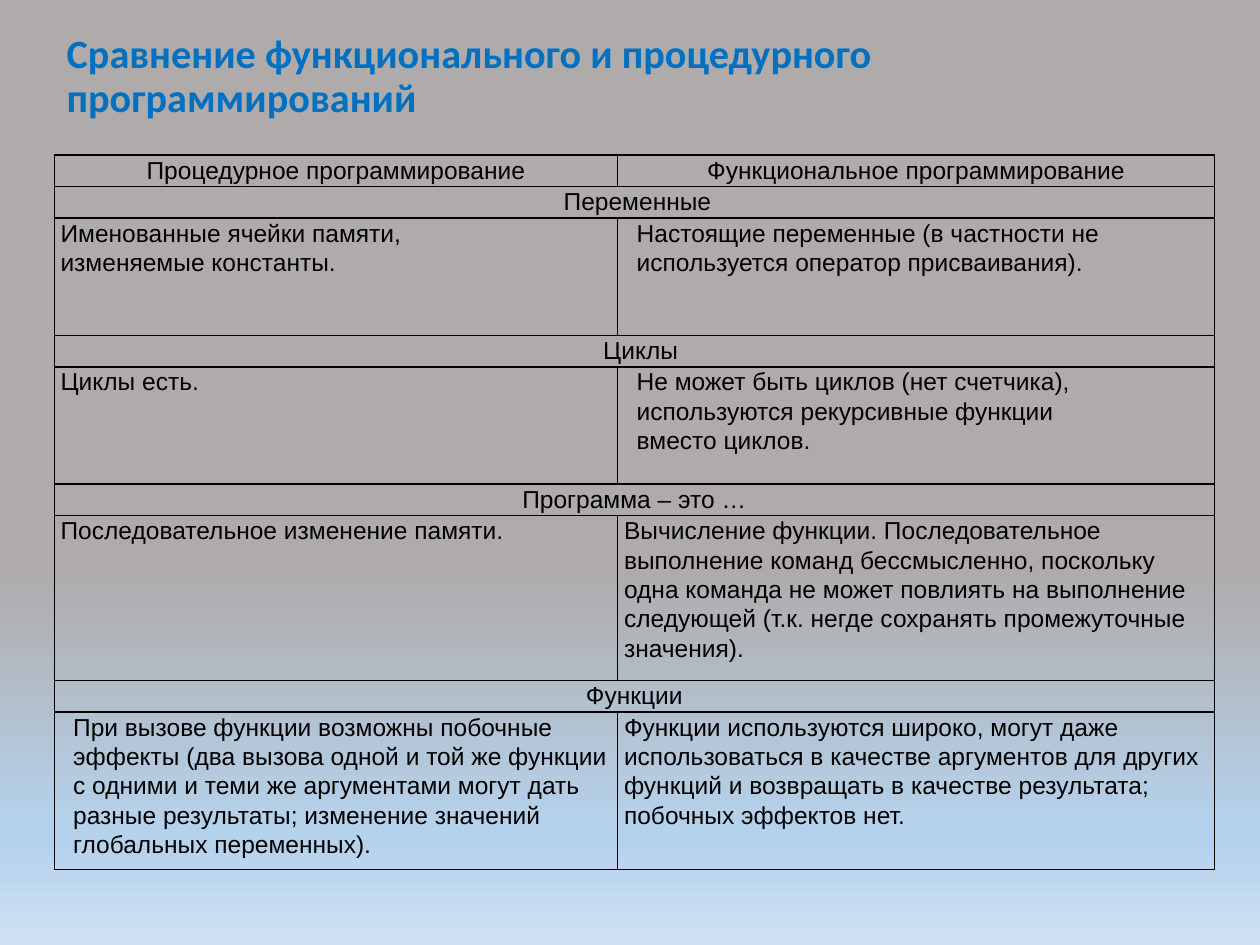
from dataclasses import dataclass

from lxml.etree import SubElement
from pptx import Presentation
from pptx.dml.color import RGBColor
from pptx.enum.text import MSO_ANCHOR, PP_ALIGN
from pptx.oxml.ns import qn
from pptx.slide import Slide
from pptx.table import _Cell
from pptx.util import Pt


@dataclass(frozen=True)
class Theme:
    title_font: str = "Calibri"
    body_font: str = "Arial"
    title_size: float = 23
    body_size: float = 14
    title_color: str = "0070C0"
    ink: str = "000000"
    border: float = 1
    gradient: tuple[tuple[int, str], ...] = (
        (60, "AFABAB"), (88, "B5D2EC"), (89, "B5D2EC"), (100, "CEE1F2"))


@dataclass(frozen=True)
class Entry:
    lines: tuple[str, ...]
    indent: float = 0


@dataclass(frozen=True)
class Topic:
    heading: Entry
    procedural: Entry
    functional: Entry
    height: float


THEME = Theme()
COLUMNS = (322, 341)
HEADING_HEIGHT = 14.4
INDENT = 7.2
TITLE = "Сравнение функционального и процедурного программирований"
HEADERS = ("Процедурное программирование", "Функциональное программирование")
TOPICS = (
    Topic(
        Entry(("Переменные",), INDENT / 2),
        Entry(("Именованные ячейки памяти,", "изменяемые константы.")),
        Entry(("Настоящие переменные (в частности не",
               "используется оператор присваивания)."), INDENT),
        67,
    ),
    Topic(
        Entry(("Циклы",), INDENT),
        Entry(("Циклы есть.",)),
        Entry(("Не может быть циклов (нет счетчика), используются рекурсивные функции",
               "вместо циклов."), INDENT),
        67,
    ),
    Topic(
        Entry(("Программа – это …",)),
        Entry(("Последовательное изменение памяти.",)),
        Entry(("Вычисление функции. Последовательное выполнение команд бессмысленно, "
               "поскольку одна команда не может повлиять на выполнение следующей "
               "(т.к. негде сохранять промежуточные",
               "значения).")),
        94.3,
    ),
    Topic(
        Entry(("Функции",)),
        Entry(("При вызове функции возможны побочные эффекты (два вызова одной и той же "
               "функции с одними и теми же аргументами могут дать разные результаты; "
               "изменение значений глобальных переменных).",), INDENT),
        Entry(("Функции используются широко, могут даже использоваться в качестве "
               "аргументов для других функций и возвращать в качестве результата; "
               "побочных эффектов нет.",)),
        80.6,
    ),
)


def paint_background(s: Slide) -> None:
    """Fill the slide with the theme's top-to-bottom gradient."""
    fill = s.background.fill
    fill.gradient()
    grad = s.element.find(".//" + qn("a:gradFill"))
    stops = grad.find(qn("a:gsLst"))
    for stop in list(stops):
        stops.remove(stop)
    for percent, color in THEME.gradient:
        stop = SubElement(stops, qn("a:gs"), pos=str(percent * 1000))
        SubElement(stop, qn("a:srgbClr"), val=color)
    grad.find(qn("a:lin")).set("ang", str(90 * 60000))


def add_title(s: Slide) -> None:
    sp = s.shapes.add_textbox(Pt(31), Pt(-8), Pt(669), Pt(104.4))
    tf = sp.text_frame
    tf.word_wrap = True
    tf.vertical_anchor = MSO_ANCHOR.MIDDLE
    p = tf.paragraphs[0]
    p.text = TITLE
    p.line_spacing = 0.9
    p.font.name = THEME.title_font
    p.font.size = Pt(THEME.title_size)
    p.font.bold = True
    p.font.color.rgb = RGBColor.from_string(THEME.title_color)


def style_cell(cell: _Cell) -> None:
    """Give a cell solid borders, narrow margins and no fill."""
    cell.margin_left = cell.margin_right = Pt(3.6)
    cell.margin_top = cell.margin_bottom = 0
    props = cell._tc.get_or_add_tcPr()
    for side in ("lnL", "lnR", "lnT", "lnB"):
        ln = SubElement(props, qn(f"a:{side}"), w=str(Pt(THEME.border)))
        SubElement(SubElement(ln, qn("a:solidFill")), qn("a:srgbClr"), val=THEME.ink)
    cell.fill.background()


def write_cell(cell: _Cell, entry: Entry, align: PP_ALIGN = PP_ALIGN.LEFT) -> None:
    tf = cell.text_frame
    tf.text = "\n".join(entry.lines)
    for p in tf.paragraphs:
        p.alignment = align
        p.line_spacing = 1.07
        if entry.indent:
            props = p._p.get_or_add_pPr()
            props.set("marL", str(Pt(entry.indent)))
            props.set("indent", "0")
        p.font.name = THEME.body_font
        p.font.size = Pt(THEME.body_size)
        p.font.color.rgb = RGBColor.from_string(THEME.ink)


def add_comparison(s: Slide) -> None:
    heights = [HEADING_HEIGHT]
    for topic in TOPICS:
        heights += [HEADING_HEIGHT, topic.height]
    frame = s.shapes.add_table(len(heights), len(COLUMNS), Pt(31), Pt(88.6),
                               Pt(sum(COLUMNS)), Pt(sum(heights)))
    table = frame.table
    table.first_row = table.horz_banding = False
    for column, width in zip(table.columns, COLUMNS):
        column.width = Pt(width)
    for row, height in zip(table.rows, heights):
        row.height = Pt(height)
    for cell in table.iter_cells():
        style_cell(cell)

    for i, header in enumerate(HEADERS):
        write_cell(table.cell(0, i), Entry((header,)), PP_ALIGN.CENTER)
    for i, topic in enumerate(TOPICS):
        row = 1 + 2 * i
        heading = table.cell(row, 0)
        heading.merge(table.cell(row, 1))
        write_cell(heading, topic.heading, PP_ALIGN.CENTER)
        write_cell(table.cell(row + 1, 0), topic.procedural)
        write_cell(table.cell(row + 1, 1), topic.functional)


def main() -> None:
    prs = Presentation()
    prs.slide_width, prs.slide_height = Pt(720), Pt(540)
    s = prs.slides.add_slide(prs.slide_layouts[6])
    paint_background(s)
    add_title(s)
    add_comparison(s)
    prs.save("out.pptx")


if __name__ == "__main__":
    main()
